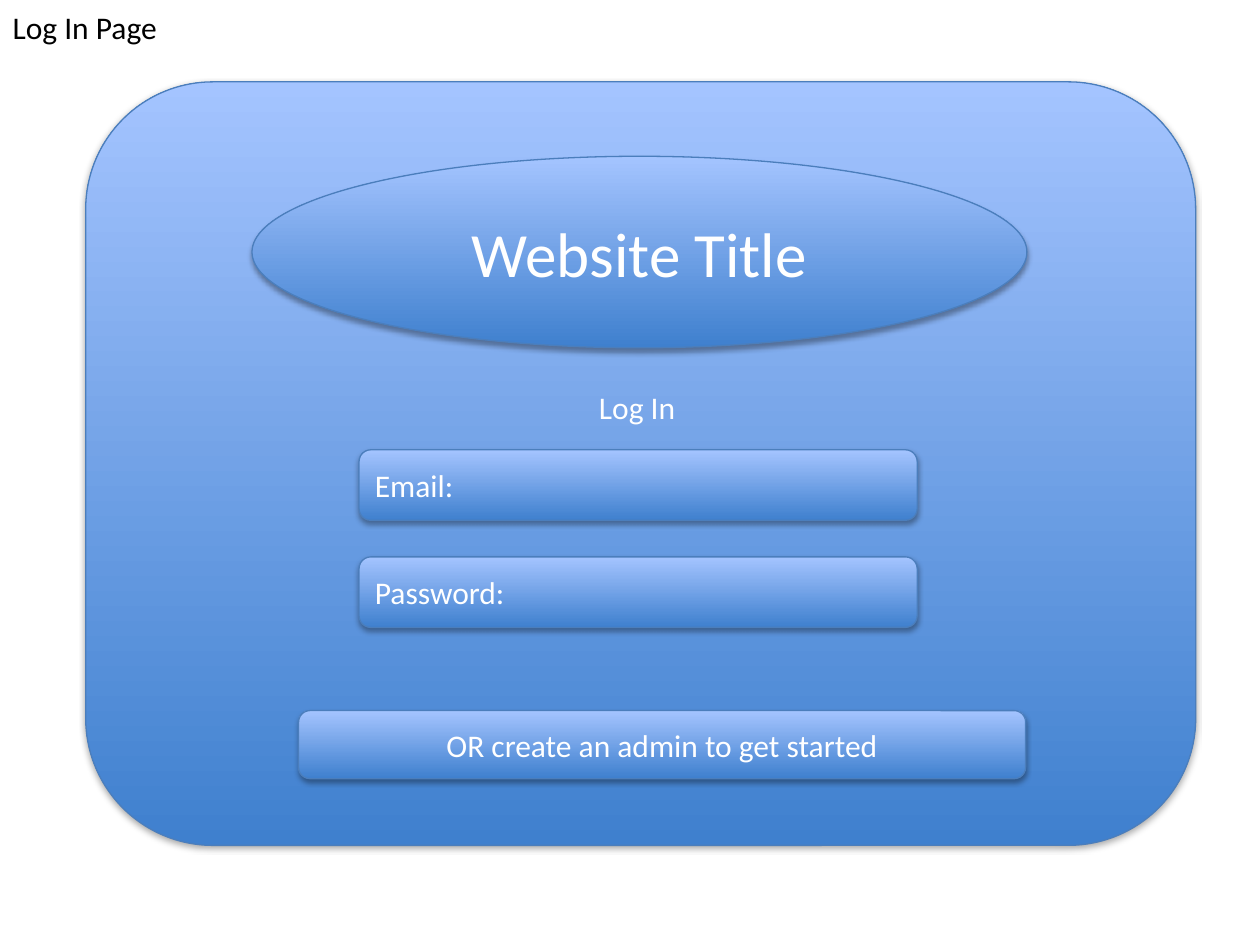
"""Build a log-in page wireframe slide."""
from pptx import Presentation, oxml
from pptx.dml.color import RGBColor
from pptx.enum import shapes, text
from pptx.oxml.ns import nsdecls
from pptx.util import Inches, Pt

COLORS = {"deep": "3F80CE", "light": "A4C4FF", "edge": "4B7EBC",
          "shadow": "000000", "ink": "000000", "white": "FFFFFF"}
SHADOW = (
    f'<a:effectLst {nsdecls("a")}>'
    '<a:outerShdw blurRad="40000" dist="23000" dir="5400000" rotWithShape="0">'
    f'<a:srgbClr val="{COLORS["shadow"]}"><a:alpha val="35000"/></a:srgbClr>'
    '</a:outerShdw></a:effectLst>'
)


def write(holder, words, size=18, color="white", align=text.PP_ALIGN.CENTER,
          anchor=text.MSO_ANCHOR.MIDDLE, wrap=True, bottom=0.05):
    frame = holder.text_frame
    frame.word_wrap = wrap
    frame.vertical_anchor = anchor
    frame.margin_bottom = Inches(bottom)
    paragraph = frame.paragraphs[0]
    paragraph.alignment = align
    run = paragraph.add_run()
    run.text = words
    run.font.size = Pt(size)
    run.font.name = "Calibri"
    run.font.color.rgb = RGBColor.from_string(COLORS[color])


def add_panel(kind, left, top, width, height, words, **text_format):
    panel = slide.shapes.add_shape(
        kind, Inches(left), Inches(top), Inches(width), Inches(height))
    panel.fill.gradient()
    panel.fill.gradient_angle = 90
    for stop, position, color in zip(panel.fill.gradient_stops, (0, 1), ("deep", "light")):
        stop.position = position
        stop.color.rgb = RGBColor.from_string(COLORS[color])
    panel.line.color.rgb = RGBColor.from_string(COLORS["edge"])
    panel.line.width = Pt(0.75)
    panel.element.spPr.append(oxml.parse_xml(SHADOW))
    write(panel, words, **text_format)


deck = Presentation()
deck.slide_width, deck.slide_height = Inches(10), Inches(7.5)
slide = deck.slides.add_slide(deck.slide_layouts[5])

page_name = slide.shapes.title
page_name.left, page_name.top = Inches(0), Inches(0.01)
page_name.width, page_name.height = Inches(1.37), Inches(0.4)
write(page_name, "Log In Page", color="ink", align=text.PP_ALIGN.LEFT,
      anchor=text.MSO_ANCHOR.TOP, wrap=False)
page_name.text_frame.auto_size = text.MSO_AUTO_SIZE.SHAPE_TO_FIT_TEXT

rounded = shapes.MSO_SHAPE.ROUNDED_RECTANGLE
add_panel(rounded, 0.68, 0.65, 8.81, 6.06, "Log In ", bottom=0.95)
for row, field in enumerate(("Email:", "Password:")):
    add_panel(rounded, 2.85, 3.57 + row * 0.85, 4.43, 0.56, field,
              align=text.PP_ALIGN.LEFT)
add_panel(rounded, 2.37, 5.64, 5.77, 0.54, "OR create an admin to get started")
add_panel(shapes.MSO_SHAPE.OVAL, 2, 1.24, 6.15, 1.52, "Website Title", size=36)

deck.save("out.pptx")
